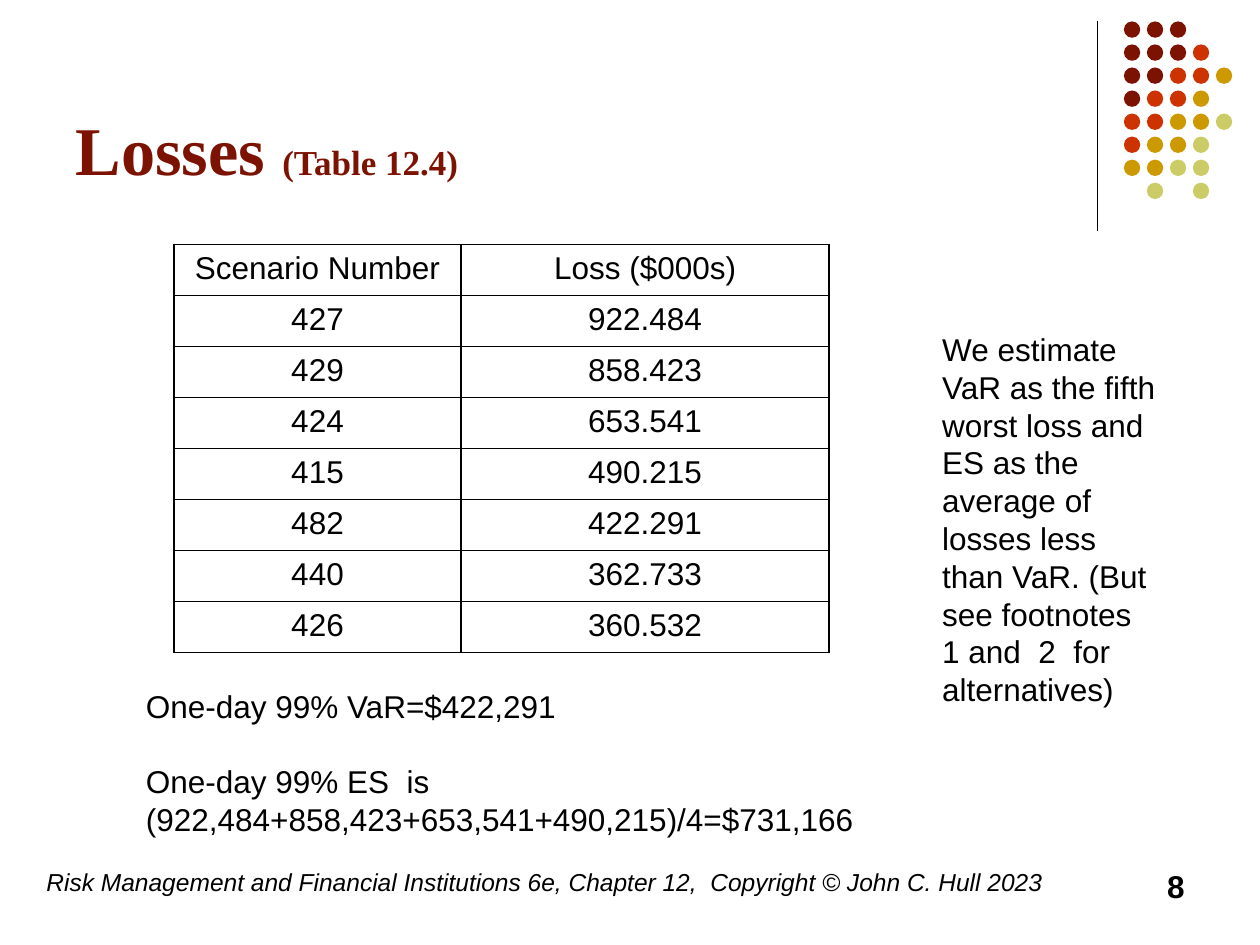
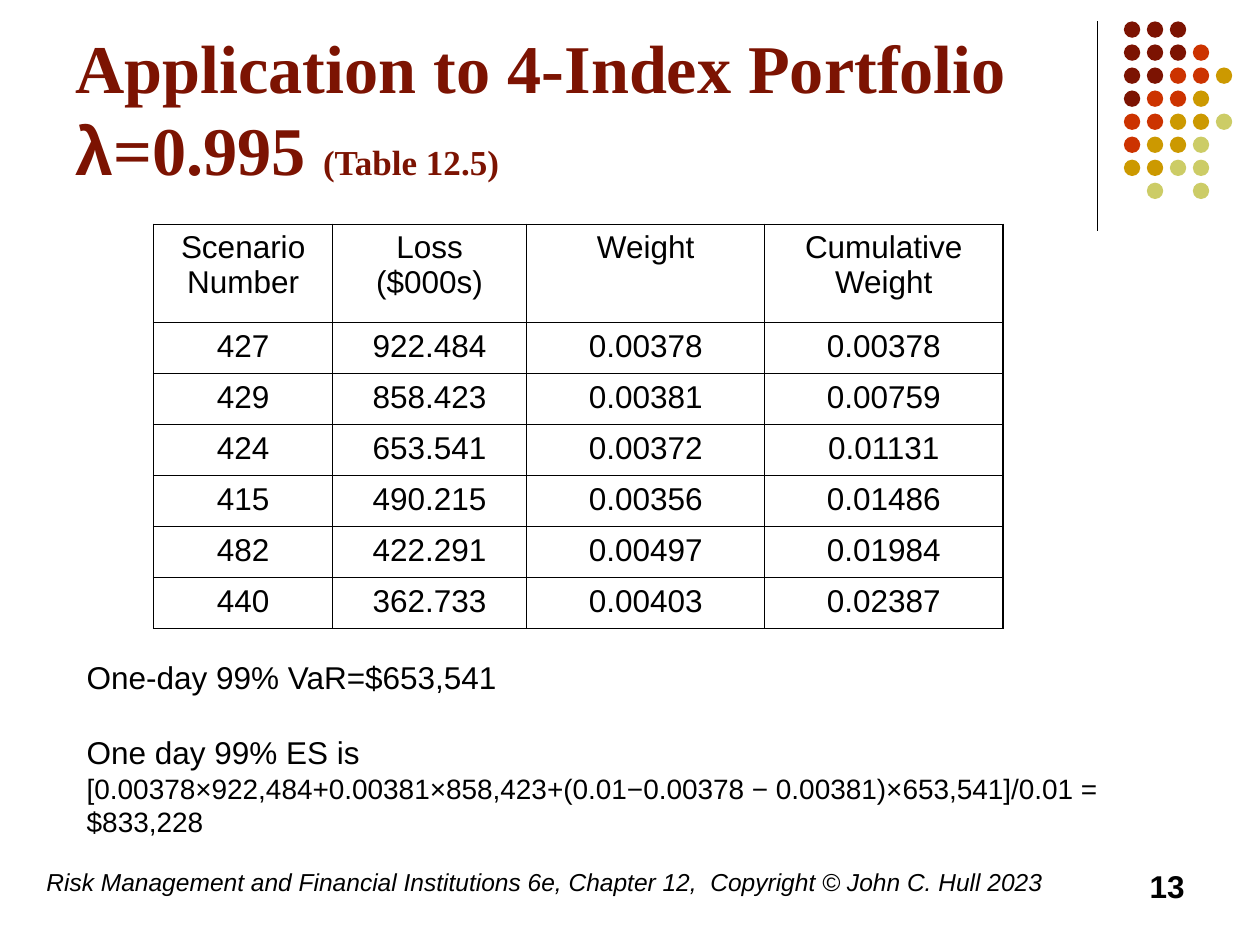
"""Build two risk-management slides on historical-simulation losses."""
from dataclasses import dataclass

from lxml import etree
from pptx import Presentation
from pptx.dml.color import RGBColor
from pptx.enum.shapes import MSO_CONNECTOR, MSO_SHAPE
from pptx.enum.text import MSO_ANCHOR, MSO_AUTO_SIZE, PP_ALIGN
from pptx.oxml.ns import qn
from pptx.slide import Slide
from pptx.util import Inches, Pt

LEFT, CENTER, RIGHT = PP_ALIGN.LEFT, PP_ALIGN.CENTER, PP_ALIGN.RIGHT
OVAL, STRAIGHT = MSO_SHAPE.OVAL, MSO_CONNECTOR.STRAIGHT
BOTTOM, NO_AUTOFIT = MSO_ANCHOR.BOTTOM, MSO_AUTO_SIZE.NONE


@dataclass(frozen=True)
class Theme:
    """Colours, fonts, type sizes and line pitches."""
    ink: str = "000000"
    maroon: str = "7C1302"
    red: str = "CC3300"
    gold: str = "CC9900"
    lime: str = "CCCC66"
    sans: str = "Arial"
    serif: str = "Times New Roman"
    title: int = 39
    reference: int = 20
    body: int = 18
    formula: int = 16
    footer: int = 14
    text_pitch: float = 1.2
    table_pitch: int = 20


THEME = Theme()
DOT_COLOURS = {"M": THEME.maroon, "R": THEME.red, "G": THEME.gold, "L": THEME.lime}
DOT_ROWS = ("MMM", "MMMR", "MMRRG", "MRRG", "RRGGL", "RGGL", "GGLL", " L L")
COPYRIGHT = "Risk Management and Financial Institutions 6e, Chapter 12,  Copyright © John C. Hull 2023"


@dataclass(frozen=True)
class Box:
    """Position and size in inches."""
    left: float
    top: float
    width: float
    height: float

    def lengths(self) -> tuple:
        """Give the four values as lengths."""
        return tuple(Inches(v) for v in (self.left, self.top, self.width, self.height))


@dataclass(frozen=True)
class Line:
    """One paragraph of a text box."""
    text: str
    size: int = THEME.body
    gap: bool = False
    bold: bool = False
    italic: bool = False
    align: PP_ALIGN = LEFT


@dataclass(frozen=True)
class Note:
    """A text box and its paragraphs."""
    box: Box
    lines: tuple


@dataclass(frozen=True)
class TitleRun:
    """A stretch of title text in one format."""
    text: str
    size: int = THEME.title
    font: str = THEME.serif


@dataclass(frozen=True)
class LossTable:
    """A bordered table with its column widths and header height."""
    left: float
    top: float
    widths: tuple
    header_height: float
    rows: tuple


@dataclass(frozen=True)
class Page:
    """The content of one slide."""
    number: str
    title: tuple
    table: LossTable
    notes: tuple


TITLE_BOX = Box(0.5, 0.13, 8.25, 1.42)
FOOTER_BOX = Box(0.27, 6.83, 8.27, 0.5)
NUMBER_BOX = Box(7.17, 6.83, 2.33, 0.5)
ROW_HEIGHT = 0.405

PAGES = (
    Page(
        "8",
        (TitleRun("Losses "), TitleRun("(Table 12.4)", THEME.reference)),
        LossTable(1.38, 1.94, (2.28, 2.92), ROW_HEIGHT, (
            ("Scenario Number", "Loss ($000s)"),
            ("427", "922.484"),
            ("429", "858.423"),
            ("424", "653.541"),
            ("415", "490.215"),
            ("482", "422.291"),
            ("440", "362.733"),
            ("426", "360.532"),
        )),
        (
            Note(Box(1.06, 5.4, 5.98, 1.31), (
                Line("One-day 99% VaR=$422,291"),
                Line("One-day 99% ES  is (922,484+858,423+653,541+490,215)/4=$731,166", gap=True),
            )),
            Note(Box(7.38, 2.57, 1.9, 3.13), (
                Line("We estimate VaR as the fifth worst loss and ES as the average of losses "
                     "less than VaR. (But see footnotes 1 and  2  for alternatives)"),
            )),
        ),
    ),
    Page(
        "13",
        (TitleRun("Application to 4-Index Portfolio\n"), TitleRun("λ", font=THEME.sans),
         TitleRun("=0.995 "), TitleRun("(Table 12.5)", THEME.reference)),
        LossTable(1.22, 1.78, (1.42, 1.54, 1.89, 1.89), 0.78, (
            ("Scenario Number", "Loss ($000s)", "Weight", "Cumulative Weight"),
            ("427", "922.484", "0.00378", "0.00378"),
            ("429", "858.423", "0.00381", "0.00759"),
            ("424", "653.541", "0.00372", "0.01131"),
            ("415", "490.215", "0.00356", "0.01486"),
            ("482", "422.291", "0.00497", "0.01984"),
            ("440", "362.733", "0.00403", "0.02387"),
        )),
        (
            Note(Box(0.59, 5.17, 9.14, 1.85), (
                Line("One-day 99% VaR=$653,541"),
                Line("One day 99% ES is", gap=True),
                Line("[0.00378×922,484+0.00381×858,423+(0.01−0.00378 − 0.00381)×653,541]/0.01"
                     " = $833,228", THEME.formula),
            )),
        ),
    ),
)


def set_font(font, colour: str = THEME.ink, **values) -> None:
    """Apply a colour and format values to a font."""
    font.color.rgb = RGBColor.from_string(colour)
    for attribute, value in values.items():
        setattr(font, attribute, value)


def draw_dots(slide: Slide) -> None:
    """Draw the corner rule and the dot grid beside it."""
    rule = slide.shapes.add_connector(
        STRAIGHT, Inches(8.71), Inches(0.17), Inches(8.71), Inches(1.83))
    rule.line.color.rgb = RGBColor.from_string(THEME.ink)
    rule.line.width = Pt(0.75)
    etree.SubElement(rule.element.spPr, qn("a:effectLst"))
    for row, pattern in enumerate(DOT_ROWS):
        for column, key in enumerate(pattern):
            if key in DOT_COLOURS:
                place = Box(8.92 + 0.73 * column / 4, 0.17 + 1.28 * row / 7, 0.13, 0.13)
                dot = slide.shapes.add_shape(OVAL, *place.lengths())
                dot.shadow.inherit = False
                dot.fill.solid()
                dot.fill.fore_color.rgb = RGBColor.from_string(DOT_COLOURS[key])
                dot.line.fill.background()


def write_title(slide: Slide, runs: tuple) -> None:
    """Place and fill the title placeholder."""
    title = slide.shapes.title
    title.left, title.top, title.width, title.height = TITLE_BOX.lengths()
    frame = title.text_frame
    frame.word_wrap = True
    frame.auto_size = NO_AUTOFIT
    frame.vertical_anchor = BOTTOM
    heading = frame.paragraphs[0]
    heading.alignment = LEFT
    heading.line_spacing = Pt(THEME.title * THEME.text_pitch)
    for part in runs:
        run = heading.add_run()
        run.text = part.text.rstrip("\n")
        set_font(run.font, THEME.maroon, name=part.font, size=Pt(part.size), bold=True)
        if part.text.endswith("\n"):
            heading.add_line_break()


def write_note(slide: Slide, note: Note) -> None:
    """Write paragraphs into a wrapped text box."""
    frame = slide.shapes.add_textbox(*note.box.lengths()).text_frame
    frame.word_wrap = True
    for index, line in enumerate(note.lines):
        paragraph = frame.add_paragraph() if index else frame.paragraphs[0]
        pitch = Pt(line.size * THEME.text_pitch)
        paragraph.alignment = line.align
        paragraph.line_spacing = pitch
        if line.gap:
            paragraph.space_before = pitch
        run = paragraph.add_run()
        run.text = line.text
        set_font(run.font, name=THEME.sans, size=Pt(line.size),
                 bold=line.bold, italic=line.italic)


def draw_borders(cell) -> None:
    """Give a cell four thin black borders."""
    properties = cell._tc.get_or_add_tcPr()
    for side in ("a:lnL", "a:lnR", "a:lnT", "a:lnB"):
        border = etree.SubElement(properties, qn(side), w=str(Pt(1)))
        fill = etree.SubElement(border, qn("a:solidFill"))
        etree.SubElement(fill, qn("a:srgbClr"), val=THEME.ink)


def draw_table(slide: Slide, losses: LossTable) -> None:
    """Draw the loss table."""
    heights = [losses.header_height] + [ROW_HEIGHT] * (len(losses.rows) - 1)
    place = Box(losses.left, losses.top, sum(losses.widths), sum(heights))
    table = slide.shapes.add_table(
        len(heights), len(losses.widths), *place.lengths()).table
    table.first_row = table.horz_banding = False
    for column, width in zip(table.columns, losses.widths):
        column.width = Inches(width)
    for row, height, values in zip(table.rows, heights, losses.rows):
        row.height = Inches(height)
        for cell, value in zip(row.cells, values):
            draw_borders(cell)
            cell.fill.background()
            paragraph = cell.text_frame.paragraphs[0]
            paragraph.alignment = CENTER
            paragraph.line_spacing = Pt(THEME.table_pitch)
            run = paragraph.add_run()
            run.text = value
            set_font(run.font, name=THEME.sans, size=Pt(THEME.body))


def build_page(deck, page: Page) -> None:
    """Add one slide with its shared and own parts."""
    slide = deck.slides.add_slide(deck.slide_layouts.get_by_name("Title Only"))
    draw_dots(slide)
    write_title(slide, page.title)
    write_note(slide, Note(FOOTER_BOX, (Line(COPYRIGHT, THEME.footer, italic=True),)))
    write_note(slide, Note(NUMBER_BOX, (Line(page.number, bold=True, align=RIGHT),)))
    draw_table(slide, page.table)
    for note in page.notes:
        write_note(slide, note)


def main() -> None:
    """Build and save the deck."""
    deck = Presentation()
    deck.slide_width, deck.slide_height = Inches(10), Inches(7.5)
    for page in PAGES:
        build_page(deck, page)
    deck.save("out.pptx")


if __name__ == "__main__":
    main()
